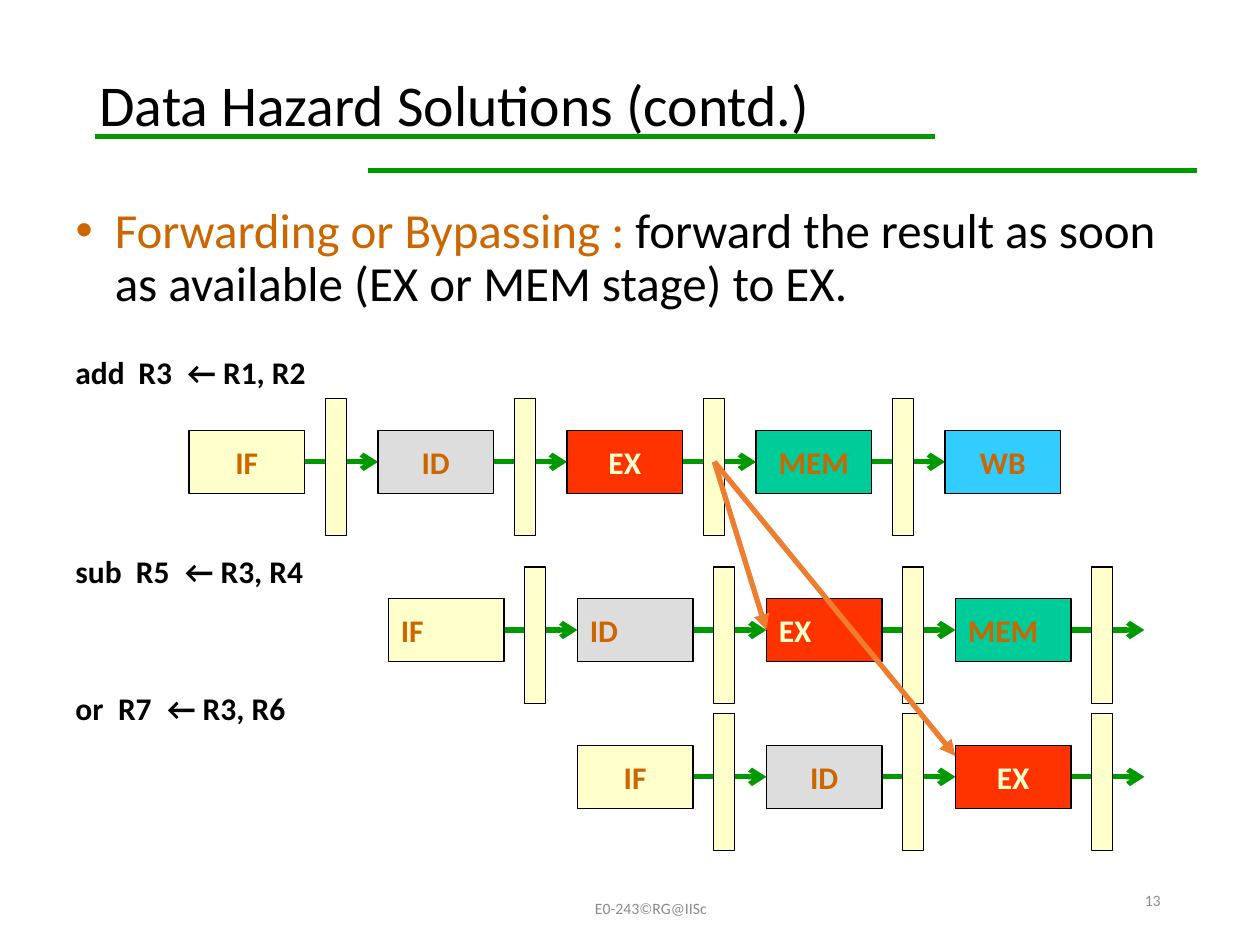
from lxml.etree import SubElement
from pptx import Presentation
from pptx.dml.color import RGBColor
from pptx.enum.shapes import MSO_CONNECTOR, MSO_SHAPE
from pptx.enum.text import MSO_ANCHOR, MSO_AUTO_SIZE, PP_ALIGN
from pptx.oxml.ns import qn
from pptx.util import Cm, Pt

GREEN, ORANGE, BROWN, CREAM = "009900", "ED7D31", "CC6600", "FFFFCC"
BLACK, GREY = "000000", "8C8C8C"

STAGE_COLOURS = {  # stage: (fill, text)
    "IF": (CREAM, BROWN),
    "ID": ("DDDDDD", BROWN),
    "EX": ("FF3300", CREAM),
    "MEM": ("00CC99", BROWN),
    "WB": ("33CCFF", BROWN),
}

# Pipeline measures in centimetres
PITCH, STAGE_WIDTH, STAGE_HEIGHT = 3.81, 2.33, 1.27
LATCH_OFFSET, LATCH_WIDTH, LATCH_HEIGHT, LATCH_RISE = 2.75, 0.42, 2.75, 1.27

# stages, latch count, left, centre height, alignment
PIPELINES = [
    (["IF", "ID", "EX", "MEM", "WB"], 4, 3.81, 9.31, PP_ALIGN.CENTER),
    (["IF", "ID", "EX", "MEM"], 4, 7.83, 12.7, PP_ALIGN.LEFT),
    (["IF", "ID", "EX"], 3, 11.64, 15.66, PP_ALIGN.CENTER),
]

# text, top, first tab stop
INSTRUCTIONS = [
    ("add\tR3\t← R1, R2", 6.99, 1.27),
    ("sub\tR5\t← R3, R4", 11.0, 1.22),
    ("or\tR7\t← R3, R6", 13.77, 0.86),
]
TAB_GAP = 0.99


def colour(hex_value):
    return RGBColor.from_string(hex_value)


def apply_format(target, values):
    for name, value in values.items():
        setattr(target, name, value)


def place(shape, left, top, width, height):
    apply_format(shape, {"left": Cm(left), "top": Cm(top),
                         "width": Cm(width), "height": Cm(height)})


def add_run(paragraph, text, size, hex_value, bold=False):
    run = paragraph.add_run()
    run.text = text
    apply_format(run.font, {"name": "Calibri", "size": Pt(size), "bold": bold})
    run.font.color.rgb = colour(hex_value)


def format_text_frame(shape, anchor):
    """Set the frame's basics and return its first paragraph."""
    apply_format(shape.text_frame, {
        "word_wrap": True,
        "auto_size": MSO_AUTO_SIZE.NONE,
        "vertical_anchor": anchor,
    })
    return shape.text_frame.paragraphs[0]


def add_text_box(slide, box, anchor, alignment):
    """Add an empty text box and return its paragraph."""
    shape = slide.shapes.add_textbox(*map(Cm, box))
    paragraph = format_text_frame(shape, anchor)
    paragraph.alignment = alignment
    return paragraph


def add_line(shapes, start, end, hex_value, arrowhead=None):
    connector = shapes.add_connector(
        MSO_CONNECTOR.STRAIGHT, *map(Cm, (*start, *end)))
    connector.line.color.rgb = colour(hex_value)
    connector.line.width = Pt(3)
    properties = connector.element.spPr
    if arrowhead:
        SubElement(properties.find(qn("a:ln")), qn("a:tailEnd"), type=arrowhead)
    SubElement(properties, qn("a:effectLst"))


def add_rectangle(shapes, box, fill):
    shape = shapes.add_shape(MSO_SHAPE.RECTANGLE, *map(Cm, box))
    shape.shadow.inherit = False
    shape.fill.solid()
    shape.fill.fore_color.rgb = colour(fill)
    shape.line.color.rgb = colour(BLACK)
    shape.line.width = Pt(0.75)
    return shape


def add_pipeline(slide, stages, latch_count, left, centre, alignment):
    shapes = slide.shapes.add_group_shape().shapes
    for index in range(latch_count):
        x = left + index * PITCH
        add_line(shapes, (x + STAGE_WIDTH, centre), (x + PITCH, centre),
                 GREEN, "arrow")
    for index, stage in enumerate(stages):
        fill, text_colour = STAGE_COLOURS[stage]
        box = (left + index * PITCH, centre - STAGE_HEIGHT / 2,
               STAGE_WIDTH, STAGE_HEIGHT)
        paragraph = format_text_frame(
            add_rectangle(shapes, box, fill), MSO_ANCHOR.MIDDLE)
        paragraph.alignment = alignment
        add_run(paragraph, stage, 18, text_colour, bold=True)
    for index in range(latch_count):
        add_rectangle(shapes, (left + index * PITCH + LATCH_OFFSET,
                               centre - LATCH_RISE,
                               LATCH_WIDTH, LATCH_HEIGHT), CREAM)


def add_instruction(slide, text, top, first_tab):
    paragraph = add_text_box(slide, (1.27, top, 8.05, 1.27),
                             MSO_ANCHOR.TOP, PP_ALIGN.LEFT)
    tabs = SubElement(paragraph._p.get_or_add_pPr(), qn("a:tabLst"))
    for position in (first_tab, first_tab + TAB_GAP):
        SubElement(tabs, qn("a:tab"), pos=str(Cm(position)), algn="l")
    add_run(paragraph, text, 18, BLACK, bold=True)


def fill_title(title):
    place(title, 1.75, 1.02, 21.9, 2.29)
    paragraph = format_text_frame(title, MSO_ANCHOR.MIDDLE)
    apply_format(paragraph, {"alignment": PP_ALIGN.LEFT, "line_spacing": 0.9})
    add_run(paragraph, "Data Hazard Solutions (contd.)", 33, BLACK)


def fill_body(body):
    place(body, 1.27, 4.02, 23.07, 12.9)
    paragraph = format_text_frame(body, MSO_ANCHOR.TOP)
    apply_format(paragraph, {"line_spacing": 0.9, "space_before": Pt(0)})
    properties = paragraph._p.get_or_add_pPr()
    properties.set("marL", str(Cm(0.79)))
    properties.set("indent", str(-Cm(0.79)))
    SubElement(properties, qn("a:buChar"), char="•")
    add_run(paragraph, "Forwarding or Bypassing :", 28, BROWN)
    add_run(paragraph, " forward the result as soon as available "
            "(EX or MEM stage) to EX.", 28, BLACK)


def add_footer(slide):
    for text, box, alignment in [
        ("E0-243©RG@IISc", (9.1, 17.99, 8.04, 0.64), PP_ALIGN.CENTER),
        ("13", (17.94, 17.65, 5.71, 1.01), PP_ALIGN.RIGHT),
    ]:
        paragraph = add_text_box(slide, box, MSO_ANCHOR.MIDDLE, alignment)
        add_run(paragraph, text, 9, GREY)


def main():
    presentation = Presentation()
    presentation.slide_width, presentation.slide_height = Cm(25.4), Cm(19.05)
    slide = presentation.slides.add_slide(presentation.slide_layouts[1])

    for left, top in [(1.91, 2.75), (7.41, 3.43), (2.12, 2.75)]:
        add_line(slide.shapes, (left, top), (left + 16.72, top), GREEN)
    fill_title(slide.shapes.title)
    fill_body(slide.placeholders[1])
    add_footer(slide)

    for instruction, pipeline in zip(INSTRUCTIONS, PIPELINES):
        add_instruction(slide, *instruction)
        add_pipeline(slide, *pipeline)
    for target in [(15.45, 12.7), (19.26, 15.24)]:
        add_line(slide.shapes, (14.4, 9.31), target, ORANGE, "triangle")

    presentation.save("out.pptx")


if __name__ == "__main__":
    main()
